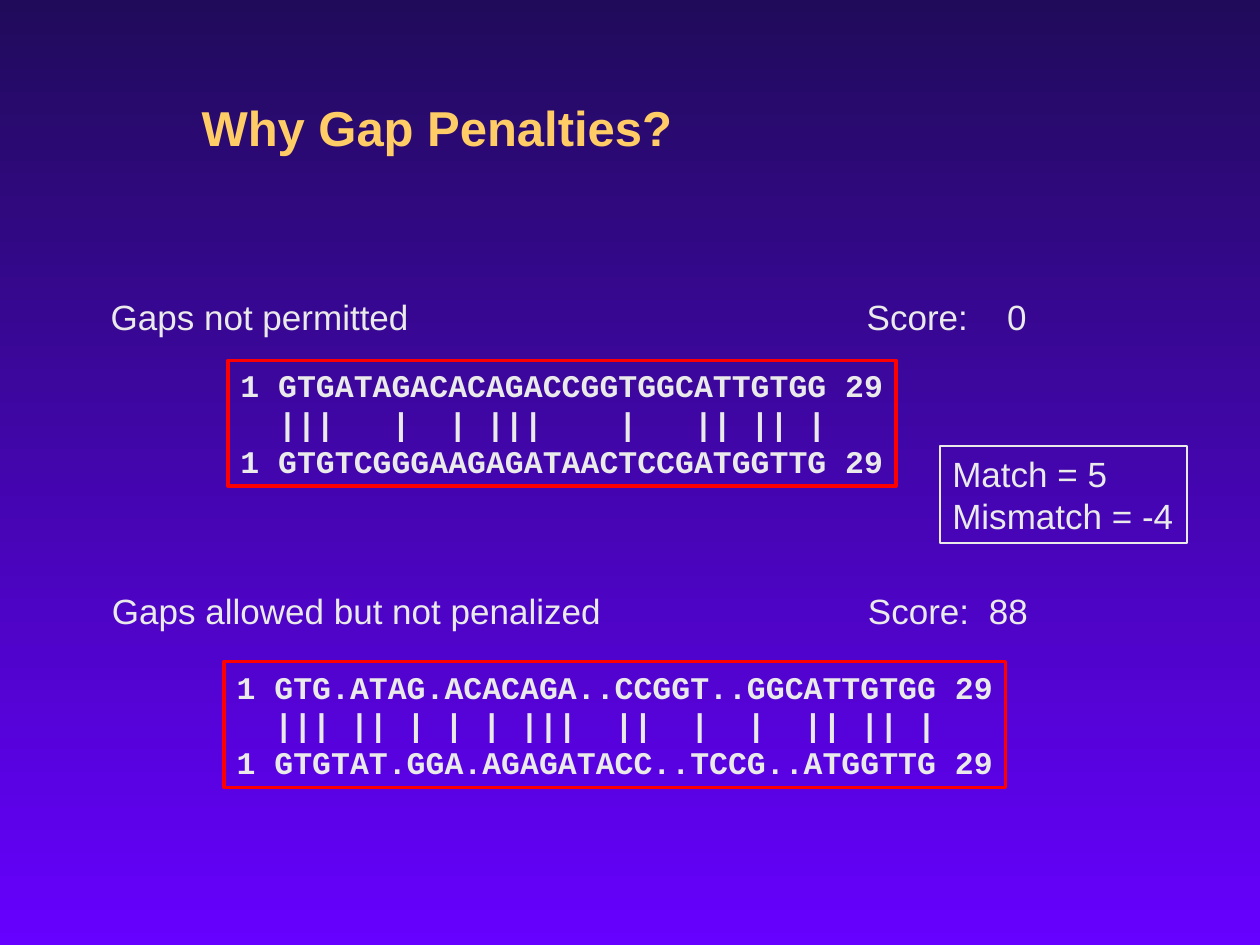
from dataclasses import dataclass

from lxml.etree import SubElement
from pptx import Presentation
from pptx.dml.color import RGBColor
from pptx.enum.shapes import MSO_SHAPE
from pptx.enum.text import MSO_ANCHOR, MSO_AUTO_SIZE, PP_ALIGN
from pptx.oxml.ns import qn
from pptx.util import Inches, Pt

COLORS = {
    "top": "200B5B",
    "bottom": "6600FF",
    "title": "FFCC66",
    "text": "EAEAEA",
    "frame": "FF0000",
}
SCORE_TABS = ((6, "l"), (7.27, "r"))


@dataclass
class Heading:
    left: float
    top: float
    width: float
    label: str
    score: int


@dataclass
class Panel:
    left: float
    top: float
    width: float
    height: float
    lines: tuple[str, ...]
    line_color: str = "frame"
    line_width: float = 2
    font: str = "Courier New"
    size: float = 18
    bold: bool = True


HEADINGS = (
    Heading(0.78, 2.3, 8.08, "Gaps not permitted", 0),
    Heading(0.79, 4.63, 8.5, "Gaps allowed but not penalized", 88),
)
PANELS = (
    Panel(1.81, 2.86, 5.3, 1, (
        "1 GTGATAGACACAGACCGGTGGCATTGTGG 29",
        "  |||   |  | |||    |   || || |",
        "1 GTGTCGGGAAGAGATAACTCCGATGGTTG 29",
    )),
    Panel(1.78, 5.25, 6.2, 1, (
        "1 GTG.ATAG.ACACAGA..CCGGT..GGCATTGTGG 29",
        "  ||| || | | | |||  ||  |  |  || || |",
        "1 GTGTAT.GGA.AGAGATACC..TCCG..ATGGTTG 29",
    )),
    Panel(7.46, 3.54, 1.96, 0.77, ("Match = 5", "Mismatch = -4"),
          "text", 1, "Arial", 20, False),
)


def rgb(name: str) -> RGBColor:
    return RGBColor.from_string(COLORS[name])


def style(p, font: str, size: float, color: str, bold: bool = False) -> None:
    p.alignment = PP_ALIGN.LEFT
    p.font.name = font
    p.font.size = Pt(size)
    p.font.bold = bold
    p.font.color.rgb = rgb(color)


def paint_background(s) -> None:
    fill = s.background.fill
    fill.gradient()
    fill.gradient_angle = 270
    for stop, position, name in zip(fill.gradient_stops, (0, 1), ("top", "bottom")):
        stop.position = position
        stop.color.rgb = rgb(name)


def add_title(s, text: str) -> None:
    sp = s.shapes.title
    sp.left, sp.top = Inches(1.5), Inches(0.38)
    sp.width, sp.height = Inches(7), Inches(1.25)
    tf = sp.text_frame
    tf.text = text
    tf.vertical_anchor = MSO_ANCHOR.MIDDLE
    style(tf.paragraphs[0], "Arial", 28, "title", True)


def add_heading(s, heading: Heading) -> None:
    sp = s.shapes.add_textbox(Inches(heading.left), Inches(heading.top),
                              Inches(heading.width), Inches(0.44))
    tf = sp.text_frame
    tf.word_wrap = True
    p = tf.paragraphs[0]
    p.text = f"{heading.label}\tScore:\t{heading.score}"
    tabs = SubElement(p._p.get_or_add_pPr(), qn("a:tabLst"))
    for position, align in SCORE_TABS:
        SubElement(tabs, qn("a:tab"), pos=str(Inches(position)), algn=align)
    style(p, "Arial", 20, "text")


def add_panel(s, panel: Panel) -> None:
    sp = s.shapes.add_shape(MSO_SHAPE.RECTANGLE, Inches(panel.left), Inches(panel.top),
                            Inches(panel.width), Inches(panel.height))
    sp.shadow.inherit = False
    sp.fill.background()
    sp.line.color.rgb = rgb(panel.line_color)
    sp.line.width = Pt(panel.line_width)
    tf = sp.text_frame
    tf.word_wrap = True
    tf.margin_right = Inches(0.02)
    tf.auto_size = MSO_AUTO_SIZE.NONE
    tf.vertical_anchor = MSO_ANCHOR.TOP
    tf.text = "\n".join(panel.lines)
    for p in tf.paragraphs:
        style(p, panel.font, panel.size, "text", panel.bold)


def main() -> None:
    prs = Presentation()
    prs.slide_width, prs.slide_height = Inches(10), Inches(7.5)
    s = prs.slides.add_slide(prs.slide_layouts[5])
    paint_background(s)
    add_title(s, "Why Gap Penalties?")
    for heading in HEADINGS:
        add_heading(s, heading)
    for panel in PANELS:
        add_panel(s, panel)
    prs.save("out.pptx")


if __name__ == "__main__":
    main()
